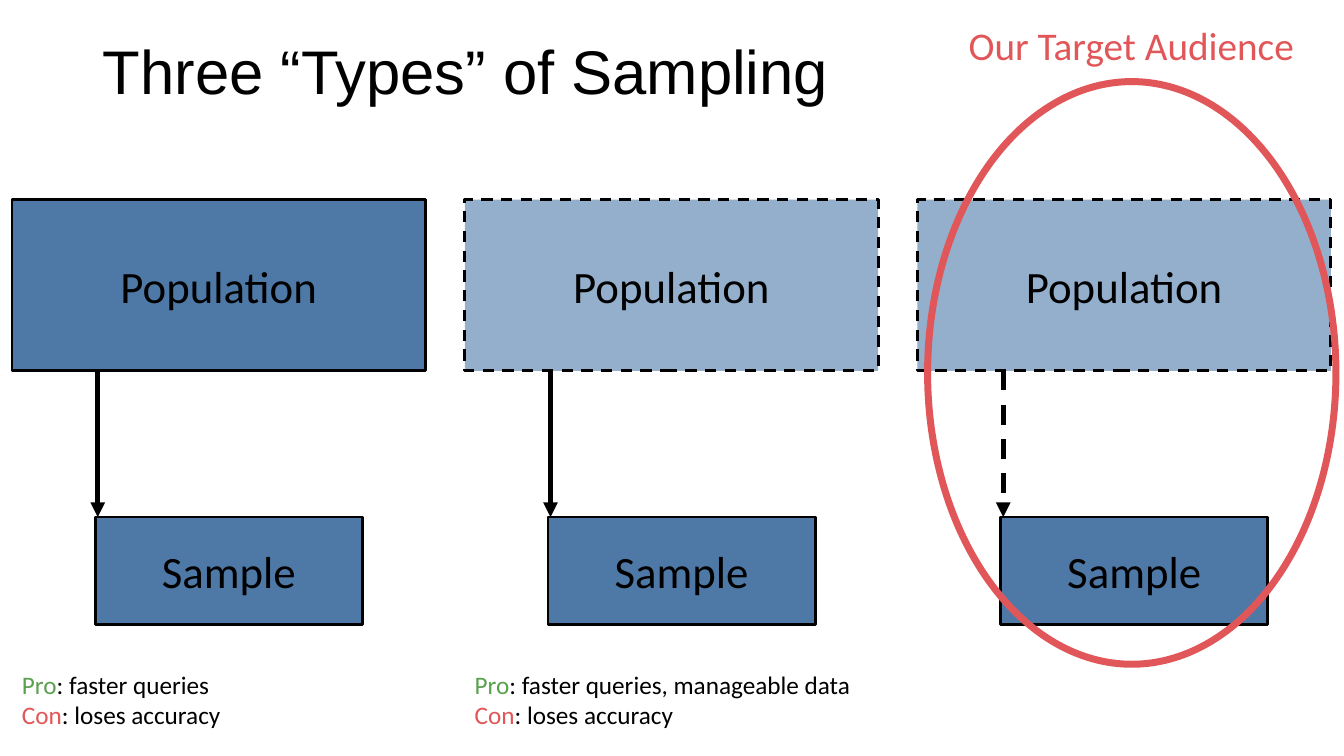
from lxml import etree
from pptx import Presentation
from pptx import util as u
from pptx.dml.color import RGBColor
from pptx.enum import dml, shapes, text
from pptx.oxml.ns import qn

BLACK, BLUE, PALE_BLUE = "000000", "4E79A7", "93AFCC"
RED, GREEN = "E15759", "5AA14E"
CELL = 0.1  # inches per grid column and row


def color(hex_string):
    return RGBColor.from_string(hex_string)


def grid(*cells):
    return [u.Inches(cell * CELL) for cell in cells]


class SamplingSlide:
    font, label_size, note_size = "Calibri", 32, 18

    def __init__(self, presentation):
        self.slide = presentation.slides.add_slide(presentation.slide_layouts[6])

    def set_runs(self, paragraph, runs, size, font=None, align=None):
        """Fill a paragraph with (wording, colour) runs."""
        for wording, hex_string in runs:
            run = paragraph.add_run()
            run.text = wording
            run.font.color.rgb = color(hex_string)
        paragraph.font.name = font or self.font
        paragraph.font.size = u.Pt(size)
        paragraph.alignment = align

    def text_box(self, area, lines, size, font=None, align=None, grow=True):
        frame = self.slide.shapes.add_textbox(*grid(*area)).text_frame
        frame.word_wrap = True
        if grow:
            frame.auto_size = text.MSO_AUTO_SIZE.SHAPE_TO_FIT_TEXT
        else:
            frame.vertical_anchor = text.MSO_ANCHOR.MIDDLE
        for index, runs in enumerate(lines):
            paragraph = frame.add_paragraph() if index else frame.paragraphs[0]
            self.set_runs(paragraph, runs, size, font, align)
        return frame

    def outline(self, line, hex_string, width, dashed=False):
        line.color.rgb = color(hex_string)
        line.width = u.Pt(width)
        if dashed:
            line.dash_style = dml.MSO_LINE.DASH

    def box(self, area, label, fill, dashed=False):
        shape = self.slide.shapes.add_shape(shapes.MSO_SHAPE.RECTANGLE, *grid(*area))
        shape.shadow.inherit = False
        shape.fill.solid()
        shape.fill.fore_color.rgb = color(fill)
        self.outline(shape.line, BLACK, 2, dashed)
        shape.text_frame.vertical_anchor = text.MSO_ANCHOR.MIDDLE
        self.set_runs(shape.text_frame.paragraphs[0], [(label, BLACK)],
                      self.label_size, align=text.PP_ALIGN.CENTER)

    def ring(self, area, hex_string):
        shape = self.slide.shapes.add_shape(shapes.MSO_SHAPE.OVAL, *grid(*area))
        shape.shadow.inherit = False
        shape.fill.background()
        self.outline(shape.line, hex_string, 5)

    def down_arrow(self, x, top, bottom, dashed=False):
        arrow = self.slide.shapes.add_connector(
            shapes.MSO_CONNECTOR.STRAIGHT, *grid(x, top, x, bottom))
        self.outline(arrow.line, BLACK, 3.5, dashed)
        properties = arrow.element.spPr
        etree.SubElement(properties.find(qn("a:ln")), qn("a:tailEnd"), type="triangle")
        etree.SubElement(properties, qn("a:effectLst"))


def main():
    presentation = Presentation()
    presentation.slide_width = u.Inches(13.33)
    presentation.slide_height = u.Inches(7.5)
    sampling = SamplingSlide(presentation)

    # Title
    title = sampling.text_box((9.2, 0.1, 115, 14.5),
                              [[("Three “Types” of Sampling", BLACK)]],
                              44, font="Arial", grow=False)
    title.paragraphs[0].line_spacing = 0.9

    # One column per type: population fill, dashed population, dashed arrow, pro
    types = [
        (BLUE, False, False, "faster queries"),
        (PALE_BLUE, True, False, "faster queries, manageable data"),
        (PALE_BLUE, True, True, None),
    ]
    first_left, pitch, width = 1.2, 44.9, 41
    population_top, population_height = 19.8, 17
    sample_top = 51.3
    for index, (fill, dashed_box, dashed_arrow, pro) in enumerate(types):
        left = first_left + index * pitch
        sampling.box((left, population_top, width, population_height),
                     "Population", fill, dashed_box)
        sampling.box((left + 8.25, sample_top, 26.5, 10.7), "Sample", BLUE)
        sampling.down_arrow(left + 8.5, population_top + population_height,
                            sample_top, dashed_arrow)
        if pro:
            sampling.text_box((left, 65.9, width, 7.1),
                              [[("Pro", GREEN), (f": {pro}", BLACK)],
                               [("Con", RED), (": loses accuracy", BLACK)]],
                              sampling.note_size)

    # Highlight around the third type
    sampling.ring((92, 8.1, 40.5, 57.8), RED)
    sampling.text_box((92.7, 1.6, 39, 5.7), [[("Our Target Audience", RED)]],
                      28, align=text.PP_ALIGN.CENTER)

    presentation.save("out.pptx")


if __name__ == "__main__":
    main()
